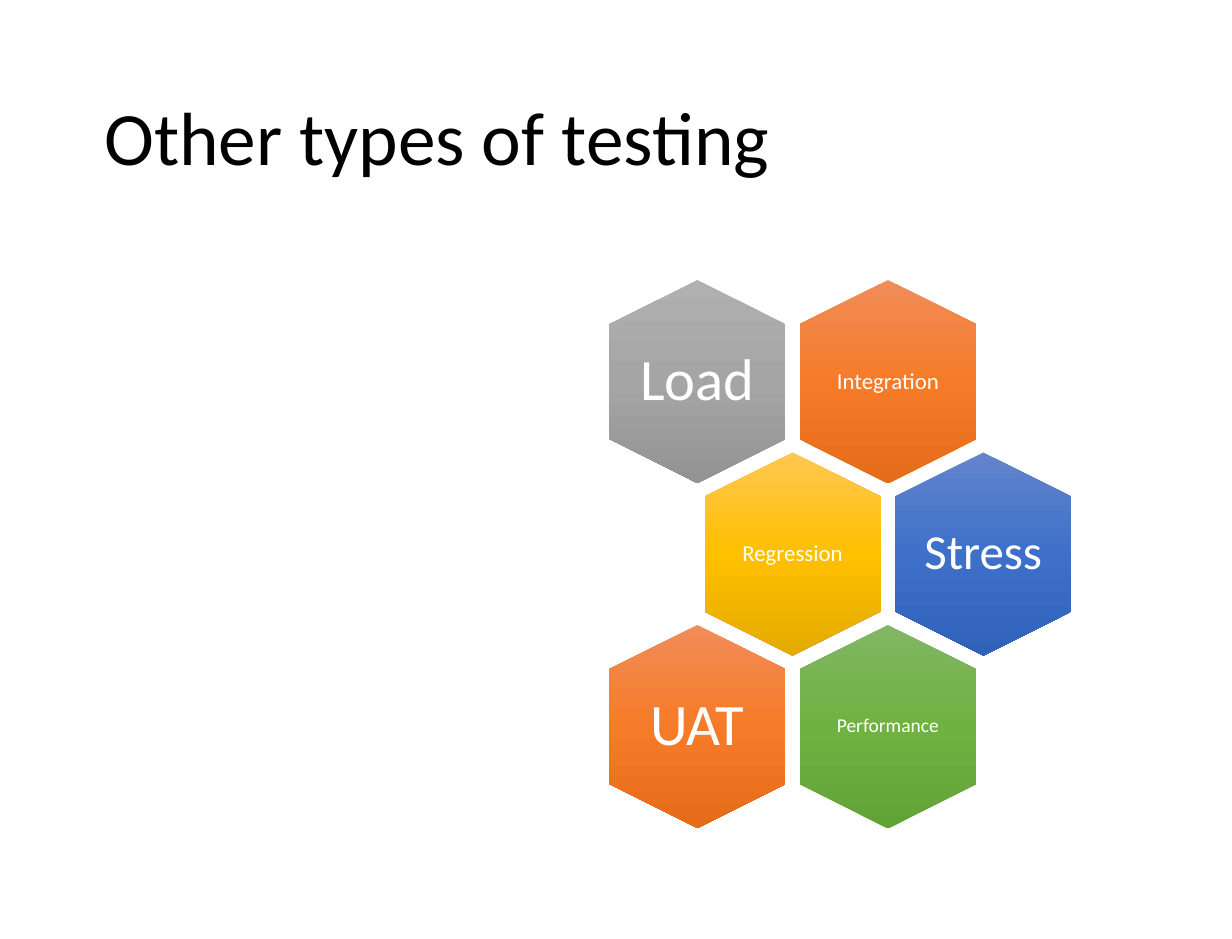
from copy import deepcopy

from pptx import Presentation
from pptx.dml.color import RGBColor
from pptx.enum.shapes import MSO_SHAPE as Preset
from pptx.enum.text import MSO_ANCHOR as Anchor, PP_ALIGN as Align
from pptx.oxml.ns import qn
from pptx.util import Pt

COLORS = {
    "title": "000000",
    "label": "FFFFFF",
    "orange": ("F18D59", "F67B28", "E56C19"),
    "gray": ("B0B0B0", "A5A5A5", "939393"),
    "gold": ("FFC752", "FFC000", "E3AB00"),
    "blue": ("6384CB", "3E70CA", "3162BA"),
    "green": ("82B664", "6FB242", "62A336"),
}

deck = Presentation()
deck.slide_width, deck.slide_height = Pt(756), Pt(576)
page = deck.slides.add_slide(deck.slide_layouts[6])


def add_text(text, left, top, width, height, size, color, align, inset_x, inset_y):
    box = page.shapes.add_textbox(Pt(left), Pt(top), Pt(width), Pt(height))
    frame = box.text_frame
    frame.word_wrap = True
    frame.vertical_anchor = Anchor.MIDDLE
    frame.margin_left = frame.margin_right = Pt(inset_x)
    frame.margin_top = frame.margin_bottom = Pt(inset_y)
    para = frame.paragraphs[0]
    para.text = text
    para.alignment = align
    para.line_spacing = 0.9
    para.font.name = "Calibri"
    para.font.size = Pt(size)
    para.font.color.rgb = RGBColor.from_string(COLORS[color])


def fill_gradient(shape, colors):
    shape.fill.gradient()
    shape.fill.gradient_angle = 270
    gradient = shape._element.spPr.find(qn("a:gradFill"))
    gradient.set("rotWithShape", "0")
    stop_list = gradient.find(qn("a:gsLst"))
    stop_list.append(deepcopy(stop_list[-1]))
    for stop, position, color in zip(shape.fill.gradient_stops, (0, 0.5, 1), colors):
        stop.position = position
        stop.color.rgb = RGBColor.from_string(color)


add_text("Other types of testing", 56.9, 31, 643, 111.6, 46.2, "title", Align.LEFT, 7.2, 3.6)

HEX_WIDTH, HEX_HEIGHT = 124.6, 108.2
LABEL_WIDTH, LABEL_HEIGHT = 75, 85.7
FIRST_X, FIRST_Y = 427.9, 234.1
COLUMN_STEP, ROW_STEP = 117, 105.8

hexagons = [
    ("Integration", 0, 1, "orange", 14, 4.2),
    ("Load", 0, 0, "gray", 36, 0),
    ("Regression", 1, 0.5, "gold", 14, 4.2),
    ("Stress", 1, 1.5, "blue", 30, 0),
    ("Performance", 2, 1, "green", 12, 3.6),
    ("UAT", 2, 0, "orange", 36, 0),
]

for label, row, column, color, size, inset in hexagons:
    center_x = FIRST_X + column * COLUMN_STEP
    center_y = FIRST_Y + row * ROW_STEP
    hexagon = page.shapes.add_shape(
        Preset.HEXAGON,
        Pt(center_x - HEX_WIDTH / 2), Pt(center_y - HEX_HEIGHT / 2),
        Pt(HEX_WIDTH), Pt(HEX_HEIGHT),
    )
    hexagon.rotation = 90
    hexagon.shadow.inherit = False
    hexagon.line.fill.background()
    fill_gradient(hexagon, COLORS[color])
    add_text(
        label, center_x - LABEL_WIDTH / 2, center_y - LABEL_HEIGHT / 2,
        LABEL_WIDTH, LABEL_HEIGHT, size, "label", Align.CENTER, inset, inset,
    )

deck.save("out.pptx")
